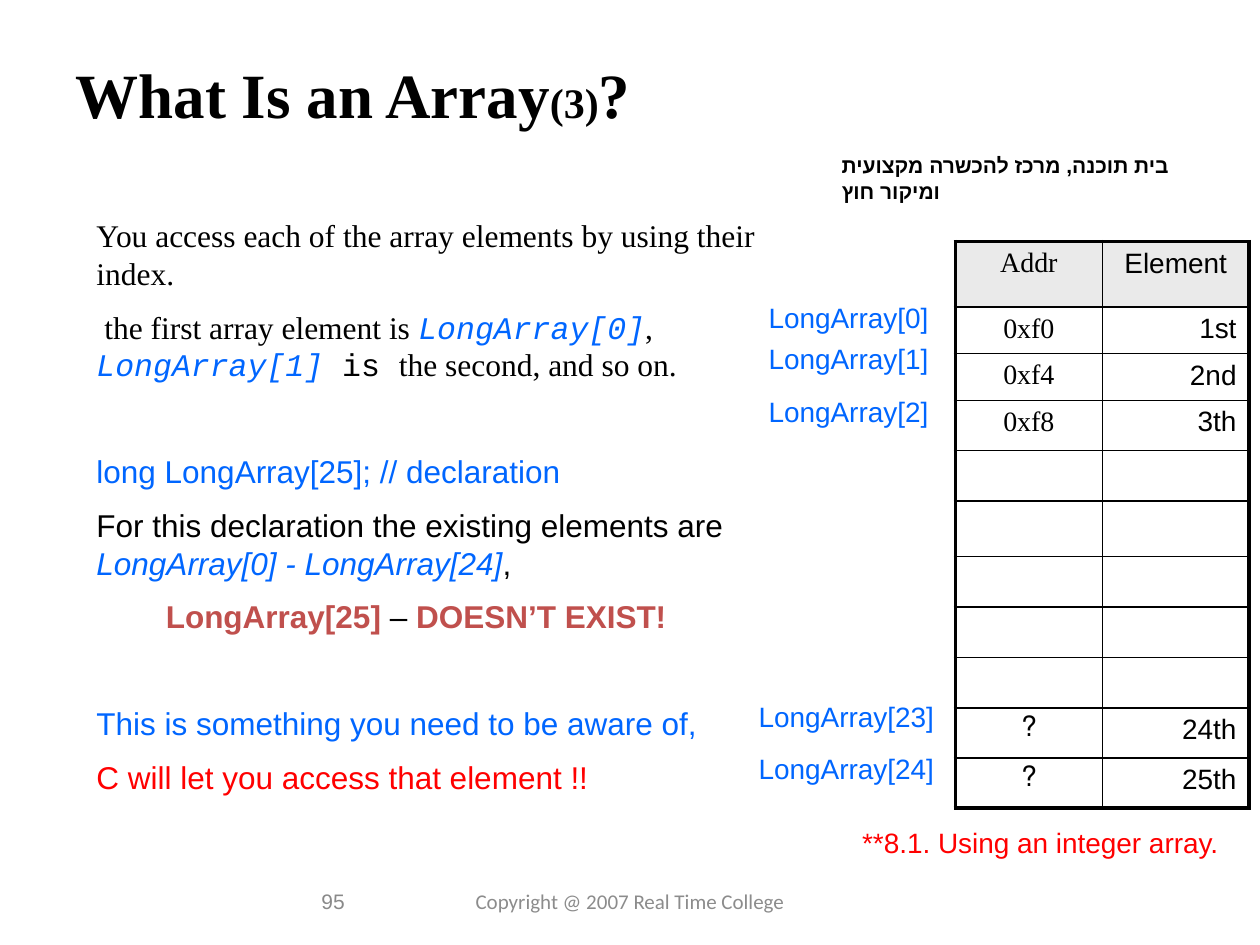
import pptx
import pptx.dml.color
import pptx.enum.text
import pptx.oxml
import pptx.oxml.ns
import pptx.util

Cm, Pt = pptx.util.Cm, pptx.util.Pt
ALIGN = pptx.enum.text.PP_ALIGN
ANCHOR = pptx.enum.text.MSO_ANCHOR
ARIAL, TIMES, COURIER, CALIBRI = "Arial", "Times New Roman", "Courier New", "Calibri"
COLORS = {"black": "000000", "code": "0066FF", "alarm": "FF0000", "missing": "C0504D",
          "footer": "8C8C8C", "number": "898989", "head": "EAEAEA"}


class ArraySlide:
    """Holds the deck, the current slide and its text and table style."""

    def __init__(self):
        self.deck = pptx.Presentation()
        self.deck.slide_width, self.deck.slide_height = Cm(25.4), Cm(19.05)
        self.slide = self.deck.slides.add_slide(self.deck.slide_layouts[1])

    def color(self, name):
        return pptx.dml.color.RGBColor.from_string(COLORS[name])

    def run(self, paragraph, text, size, font=ARIAL, color="black", bold=False, italic=False):
        run = paragraph.add_run()
        run.text = text
        run.font.size, run.font.name = Pt(size), font
        run.font.bold, run.font.italic = bold, italic
        run.font.color.rgb = self.color(color)
        return run

    def right_to_left(self, paragraph):
        paragraph._p.get_or_add_pPr().set("rtl", "1")

    def placeholder(self, shape, box):
        shape.left, shape.top, shape.width, shape.height = map(Cm, box)
        frame = shape.text_frame
        frame.word_wrap = True
        frame.auto_size = pptx.enum.text.MSO_AUTO_SIZE.NONE
        frame.vertical_anchor = ANCHOR.TOP
        return frame

    def title(self, box, runs):
        paragraph = self.placeholder(self.slide.shapes.title, box).paragraphs[0]
        paragraph.alignment = ALIGN.LEFT
        for text, size in runs:
            self.run(paragraph, text, size, TIMES, bold=True)

    def body(self, box, paragraphs):
        frame = self.placeholder(self.slide.placeholders[1], box)
        for index, (before, indent, runs) in enumerate(paragraphs):
            paragraph = frame.add_paragraph() if index else frame.paragraphs[0]
            properties = paragraph._p.get_or_add_pPr()
            properties.set("marL", str(Cm(indent)))
            properties.set("indent", "0")
            pptx.oxml.ns.qn("a:buNone")
            properties.append(pptx.oxml.parse_xml(
                f'<a:buNone {pptx.oxml.ns.nsdecls("a")}/>'))
            paragraph.space_before, paragraph.line_spacing = Pt(before), Pt(21.6)
            for text, style in runs:
                self.run(paragraph, text, 18, **style)

    def text(self, box, text, size, align=ALIGN.CENTER, wrap=False, rtl=False,
             anchor=ANCHOR.TOP, **style):
        frame = self.slide.shapes.add_textbox(*map(Cm, box)).text_frame
        frame.word_wrap, frame.vertical_anchor = wrap, anchor
        paragraph = frame.paragraphs[0]
        paragraph.alignment = align
        run = self.run(paragraph, text, size, **style)
        if rtl:
            self.right_to_left(paragraph)
            script_font = pptx.oxml.parse_xml(
                f'<a:cs {pptx.oxml.ns.nsdecls("a")} typeface="{run.font.name}"/>')
            run._r.rPr.append(script_font)

    def border(self, cell, widths):
        for side, width in widths.items():
            cell._tc.get_or_add_tcPr().append(pptx.oxml.parse_xml(
                f'<a:ln{side} {pptx.oxml.ns.nsdecls("a")} w="{Pt(width)}"><a:solidFill>'
                f'<a:srgbClr val="{COLORS["black"]}"/></a:solidFill></a:ln{side}>'))

    def table(self, left, top, column_width, heights, rows):
        grid = self.slide.shapes.add_table(
            len(rows), 2, Cm(left), Cm(top), Cm(2 * column_width), Cm(sum(heights))).table
        grid.first_row = grid.horz_banding = False
        for column in grid.columns:
            column.width = Cm(column_width)
        last = len(rows) - 1
        for r, (height, values) in enumerate(zip(heights, rows)):
            grid.rows[r].height = Cm(height)
            for c, value in enumerate(values):
                cell = grid.cell(r, c)
                self.border(cell, {"L": 1 if c else 2.25, "R": 2.25 if c else 1,
                                   "T": 1 if r else 2.25, "B": 2.25 if r == last else 1})
                if r:
                    cell.fill.background()
                else:
                    cell.fill.solid()
                    cell.fill.fore_color.rgb = self.color("head")
                if value:
                    paragraph = cell.text_frame.paragraphs[0]
                    paragraph.alignment = ALIGN.RIGHT if r and c else ALIGN.CENTER
                    self.right_to_left(paragraph)
                    self.run(paragraph, value, 16, ARIAL if c else TIMES)


def main():
    page = ArraySlide()
    serif, plain = {"font": TIMES}, {}
    code, alarm = {"color": "code"}, {"color": "alarm"}
    code_italic = {"color": "code", "italic": True}
    mono = {"font": COURIER, **code_italic}
    missing = {"color": "missing", "bold": True}
    gap, wide_gap = 9, 39.6

    page.text((16.72, 2.96, 7.8, 0.76), "בית תוכנה, מרכז להכשרה מקצועית ומיקור חוץ", 12,
              ALIGN.LEFT, wrap=True, rtl=True, bold=True)
    page.text((8.68, 17.66, 8.04, 1.02), "Copyright @ 2007 Real Time College", 12,
              wrap=True, rtl=True, anchor=ANCHOR.MIDDLE, font=CALIBRI, color="footer")
    page.text((1.27, 17.66, 5.93, 1.02), "95", 12, ALIGN.RIGHT,
              wrap=True, rtl=True, anchor=ANCHOR.MIDDLE, color="number")
    page.title((1.27, 0.99, 13.55, 1.78), [("What Is an Array", 36), ("(3)", 24), ("?", 36)])
    page.body((1.69, 4.23, 13.97, 12.57), [
        (0, 0, [("You access each of the array elements by using their index.", serif)]),
        (gap, 0, [(" the first array element is ", serif), ("LongArray[0]", mono),
                  (", ", serif), ("LongArray[1]", mono), (" is ", {"font": COURIER}),
                  ("the second, and so on.", serif)]),
        (wide_gap, 0, [("long LongArray[25]; // declaration", code)]),
        (gap, 0, [("For this declaration the existing elements are ", plain),
                  ("LongArray[0] - LongArray[24]", code_italic), (",", plain)]),
        (gap, 1.4, [("LongArray[25]", missing), (" – ", plain),
                    ("DOESN’T EXIST!", missing)]),
        (wide_gap, 0, [("This is something you need to be aware of,", code)]),
        (gap, 0, [("C will let you access that element !!", alarm)]),
    ])
    page.text((16.93, 16.51, 7.93, 0.94), " **8.1. Using an integer array.", 16, color="alarm")
    page.table(19.26, 4.87, 2.96, [1.32, 0.94, 0.94, 1.01, 1.01, 1.12] + [1.01] * 5, [
        ("Addr", "Element"), ("0xf0", "1st"), ("0xf4", "2nd"), ("0xf8", "3th"),
        *[("", "")] * 5, ("?", "24th"), ("?", "25th")])
    for index, top in {0: 5.93, 1: 6.77, 2: 7.83, 23: 13.97, 24: 15.03}.items():
        left, width = (15.24, 3.73) if index < 10 else (15.03, 4.06)
        page.text((left, top, width, 0.94), f"LongArray[{index}]", 16, color="code")
    page.deck.save("out.pptx")


if __name__ == "__main__":
    main()
